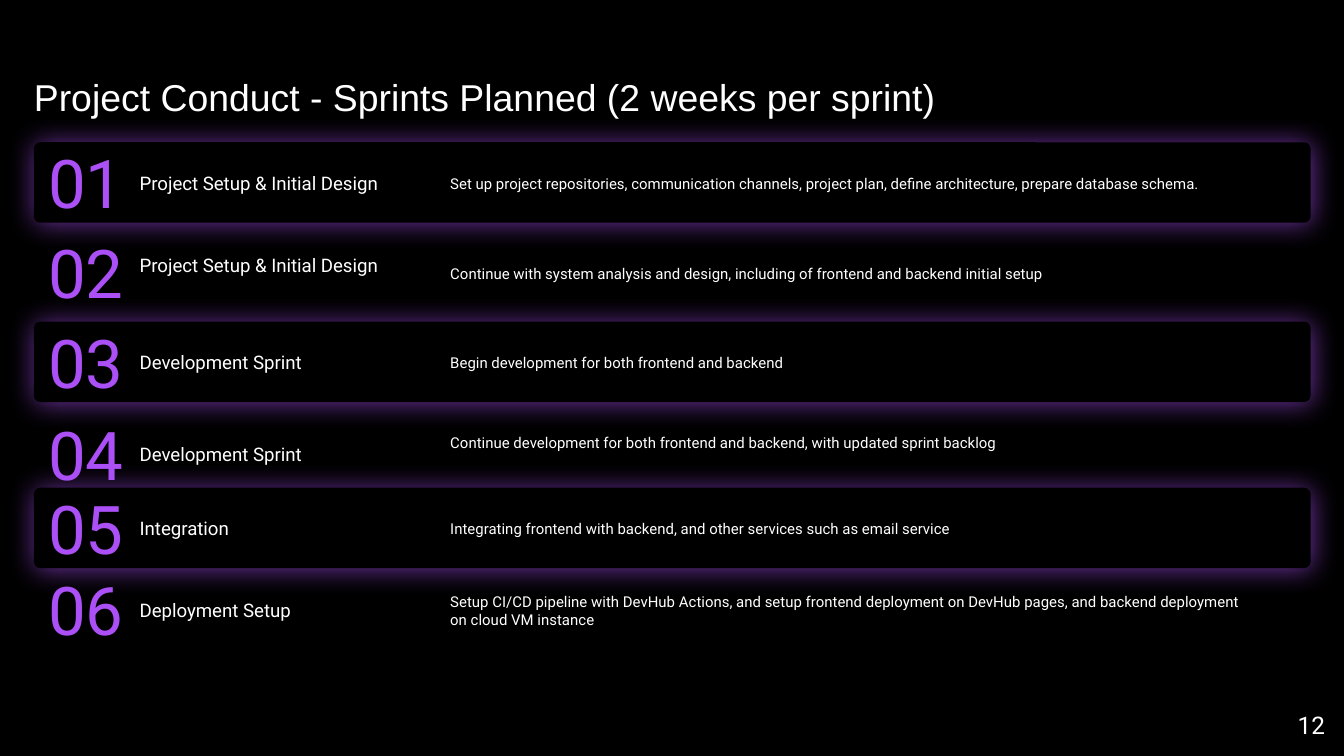
from lxml.etree import SubElement
from pptx import Presentation
from pptx.dml.color import RGBColor
from pptx.enum.shapes import MSO_SHAPE
from pptx.enum.text import MSO_ANCHOR, MSO_AUTO_SIZE, PP_ALIGN
from pptx.oxml.ns import qn
from pptx.util import Cm, Pt

BLACK, WHITE, PURPLE = "000000", "FFFFFF", "AB4FF6"
MIDDLE, TOP = MSO_ANCHOR.MIDDLE, MSO_ANCHOR.TOP

# Row top (cm), sprint name, its anchor, description, its anchor
SPRINTS = [
    (2.69, "Project Setup & Initial Design", MIDDLE,
     "Set up project repositories, communication channels, project plan, "
     "define architecture, prepare database schema.", MIDDLE),
    (4.39, "Project Setup & Initial Design", TOP,
     "Continue with system analysis and design, including of frontend and "
     "backend initial setup", MIDDLE),
    (6.08, "Development Sprint", MIDDLE,
     "Begin development for both frontend and backend", MIDDLE),
    (7.82, "Development Sprint", MIDDLE,
     "Continue development for both frontend and backend, with updated "
     "sprint backlog", TOP),
    (9.22, "Integration", MIDDLE,
     "Integrating frontend with backend, and other services such as email "
     "service", MIDDLE),
    (10.76, "Deployment Setup", MIDDLE,
     "Setup CI/CD pipeline with DevHub Actions, and setup frontend "
     "deployment on DevHub pages, and backend deployment on cloud VM "
     "instance", MIDDLE),
]


def color(hex_code):
    return RGBColor.from_string(hex_code)


class SprintSlide:
    heading_font = "Arial"
    body_font = "Roboto"

    def __init__(self, presentation):
        self.slide = presentation.slides.add_slide(presentation.slide_layouts[5])
        background = self.slide.background.fill
        background.solid()
        background.fore_color.rgb = color(BLACK)

    def set_text(self, shape, text, size, font, hex_code, anchor, align, inset=0):
        """Fill a shape's text frame with one formatted run."""
        frame = shape.text_frame
        frame.word_wrap = True
        frame.auto_size = MSO_AUTO_SIZE.NONE
        frame.vertical_anchor = anchor
        frame.margin_left = frame.margin_right = Cm(inset)
        frame.margin_top = frame.margin_bottom = Cm(inset)
        paragraph = frame.paragraphs[0]
        paragraph.alignment = align
        run = paragraph.add_run()
        run.text = text
        run.font.size = Pt(size)
        run.font.name = font
        run.font.color.rgb = color(hex_code)
        return paragraph

    def title(self, text):
        heading = self.slide.shapes.title
        heading.left, heading.top = Cm(0.64), Cm(1.27)
        heading.width, heading.height = Cm(17.7), Cm(1.3)
        paragraph = self.set_text(heading, text, 20, self.heading_font, WHITE,
                                  TOP, PP_ALIGN.LEFT)
        paragraph.line_spacing = 1.15

    def label(self, text, left, top, width, height, size, hex_code=WHITE,
              anchor=MIDDLE, align=PP_ALIGN.LEFT, inset=0):
        box = self.slide.shapes.add_textbox(Cm(left), Cm(top), Cm(width), Cm(height))
        self.set_text(box, text, size, self.body_font, hex_code, anchor, align, inset)

    def glowing_panel(self, top):
        panel = self.slide.shapes.add_shape(
            MSO_SHAPE.ROUNDED_RECTANGLE, Cm(0.64), Cm(top), Cm(24.13), Cm(1.52))
        panel.adjustments[0] = 0.08
        panel.fill.solid()
        panel.fill.fore_color.rgb = color(BLACK)
        panel.line.fill.background()
        panel.shadow.inherit = False
        effects = panel.element.spPr.find(qn("a:effectLst"))
        glow = SubElement(effects, qn("a:outerShdw"), blurRad=str(Pt(14.6)),
                          dist="0", dir="0", algn="ctr", rotWithShape="0")
        tint = SubElement(glow, qn("a:srgbClr"), val=PURPLE)
        SubElement(tint, qn("a:alpha"), val="65000")

    def sprint(self, number, top, name, name_anchor, description, description_anchor):
        if number % 2:
            self.glowing_panel(top)
        self.label(f"{number:02d}", 0.91, top + 0.13, 1.65, 1.24, 36, PURPLE)
        self.label(name, 2.64, top + 0.41, 5.64, 0.71, 10, anchor=name_anchor)
        self.label(description, 8.51, top + 0.38, 15.32, 0.79, 8,
                   anchor=description_anchor)

    def page_number(self, number):
        self.label(str(number), 23.77, 13.18, 1.52, 1.09, 13,
                   anchor=TOP, align=PP_ALIGN.RIGHT, inset=0.25)


def main():
    presentation = Presentation()
    presentation.slide_width, presentation.slide_height = Cm(25.4), Cm(14.29)
    page = SprintSlide(presentation)
    page.title("Project Conduct - Sprints Planned (2 weeks per sprint)")
    for number, sprint in enumerate(SPRINTS, start=1):
        page.sprint(number, *sprint)
    page.page_number(12)
    presentation.save("out.pptx")


if __name__ == "__main__":
    main()
